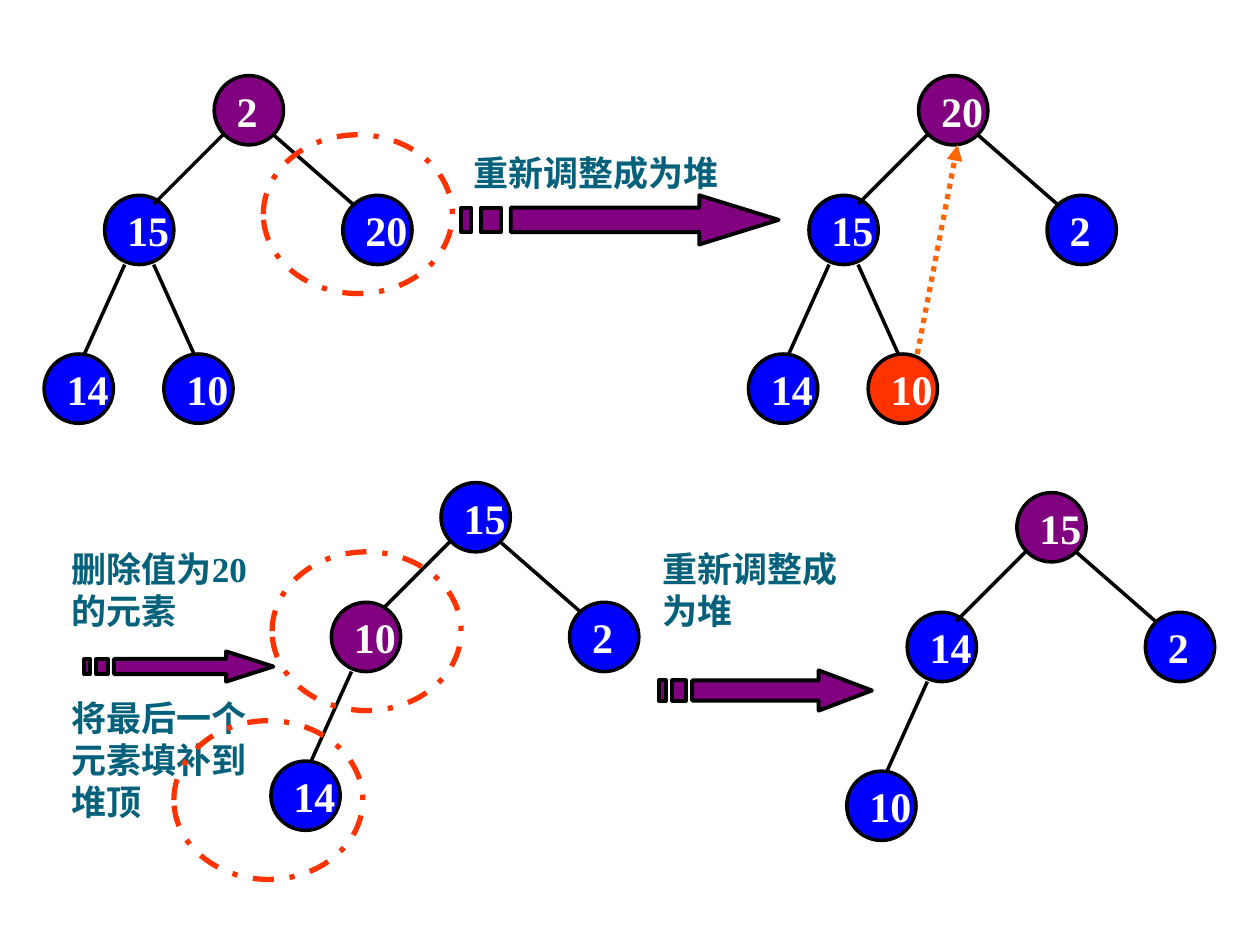
from dataclasses import dataclass

from lxml import etree
from pptx import Presentation, util as u
from pptx.dml.color import RGBColor
from pptx.enum import dml, shapes, text
from pptx.oxml.ns import qn

PX = 9144
NODE = 55


@dataclass(frozen=True)
class Theme:
    """Colours, font and sizes of the slide."""

    ink: str = "000000"
    white: str = "FFFFFF"
    blue: str = "0000FF"
    purple: str = "800080"
    red: str = "FF3300"
    orange: str = "FF6600"
    teal: str = "04617B"
    font: str = "Times New Roman"
    node_size: int = 24
    label_size: int = 20
    outline: float = 2
    arrow_outline: float = 2.25
    accent: float = 3


THEME = Theme()
NODE_SPOTS = {"root": (0, 0), "left": (-87, 95), "left_left": (-135, 221),
              "right": (102, 95), "left_right": (-40, 221)}
EDGES = {"left": (7, 47, -48, 102), "right": (47, 47, 110, 102),
         "left_left": (-71, 150, -103, 221), "left_right": (-48, 150, -16, 221)}


def emu(*lengths):
    """Turn px lengths into EMU."""
    return [length * PX for length in lengths]


def style_line(line, color, width, dash=None):
    """Set the colour, width and dash of a line."""
    line.color.rgb = RGBColor.from_string(color)
    line.width = u.Pt(width)
    if dash:
        line.dash_style = dash


def style_shape(shape, fill, color, width, dash=None):
    """Set fill and outline and remove the shadow."""
    shape.shadow.inherit = False
    if fill:
        shape.fill.solid()
        shape.fill.fore_color.rgb = RGBColor.from_string(fill)
    else:
        shape.fill.background()
    style_line(shape.line, color, width, dash)


def write(frame, wording, *, size, color, wrap=True, before=0,
          anchor=text.MSO_ANCHOR.TOP, fit=text.MSO_AUTO_SIZE.NONE):
    """Write bold left-aligned text into a frame."""
    frame.word_wrap = wrap
    frame.auto_size = fit
    frame.vertical_anchor = anchor
    para = frame.paragraphs[0]
    para.alignment = text.PP_ALIGN.LEFT
    para.space_before = u.Pt(before)
    span = para.add_run()
    span.text = wording
    span.font.name = THEME.font
    span.font.size = u.Pt(size)
    span.font.bold = True
    span.font.color.rgb = RGBColor.from_string(color)


def add_line(parent, ends, color, width, dash=None, arrow=False):
    """Draw a straight line between two points."""
    line = parent.shapes.add_connector(shapes.MSO_CONNECTOR.STRAIGHT, *emu(*ends))
    style_line(line.line, color, width, dash)
    properties = line._element.spPr
    if arrow:
        etree.SubElement(properties.find(qn("a:ln")), qn("a:tailEnd"), type="triangle")
    etree.SubElement(properties, qn("a:effectLst"))


def add_node(parent, left, top, value, fill):
    """Draw one numbered tree node."""
    node = parent.shapes.add_shape(shapes.MSO_SHAPE.OVAL, *emu(left, top, NODE, NODE))
    style_shape(node, fill, THEME.ink, THEME.outline)
    write(node.text_frame, value, size=THEME.node_size, color=THEME.white,
          wrap=False, anchor=text.MSO_ANCHOR.MIDDLE)


def add_tree(page, left, top, values, fills, front=()):
    """Draw a heap from its root corner, with the front nodes over the edges."""
    tree = page.shapes.add_group_shape()

    def place(spots):
        """Draw the nodes at the named spots."""
        for spot in spots:
            x, y = NODE_SPOTS[spot]
            add_node(tree, left + x, top + y, values[spot], fills.get(spot, THEME.blue))

    place(spot for spot in values if spot not in front)
    for spot, (x1, y1, x2, y2) in EDGES.items():
        if spot in values:
            ends = (left + x1, top + y1, left + x2, top + y2)
            add_line(tree, ends, THEME.ink, THEME.outline)
    place(front)


def add_striped_arrow(page, left, top, width, height):
    """Draw a right arrow with two tail stripes, on a grid of 32 by 4."""
    def at(column, row):
        """Return the EMU point of a grid position."""
        return round((left + width * column / 32) * PX), round((top + height * row / 4) * PX)

    head = [(24, 0), (24, 1), (5, 1), (5, 3), (24, 3), (24, 4), (32, 2)]
    stripes = [[(a, 1), (a, 3), (b, 3), (b, 1)] for a, b in ((2, 4), (0, 1))]
    builder = page.shapes.build_freeform(*at(*head[0]))
    builder.add_line_segments([at(*point) for point in head[1:]])
    for stripe in stripes:
        builder.move_to(*at(*stripe[0]))
        builder.add_line_segments([at(*point) for point in stripe[1:]])
    style_shape(builder.convert_to_shape(), THEME.purple, THEME.ink, THEME.arrow_outline)


def add_label(page, box, wording):
    """Write an explanation beside an arrow."""
    label = page.shapes.add_textbox(*emu(*box))
    write(label.text_frame, wording, size=THEME.label_size, color=THEME.teal,
          before=12.5, fit=text.MSO_AUTO_SIZE.SHAPE_TO_FIT_TEXT)


def add_ring(page, left, top):
    """Draw a dashed ring around the nodes in question."""
    ring = page.shapes.add_shape(shapes.MSO_SHAPE.OVAL, *emu(left, top, 150, 126))
    style_shape(ring, None, THEME.red, THEME.accent, dml.MSO_LINE.DASH_DOT)


def main():
    """Build the slide and save it."""
    deck = Presentation()
    deck.slide_width, deck.slide_height = emu(1000, 750)
    page = deck.slides.add_slide(deck.slide_layouts[6])

    purple_root = {"root": THEME.purple}
    add_tree(page, 170, 60, {"root": "2", "left": "15", "left_left": "14",
                             "right": "20", "left_right": "10"}, purple_root)
    add_striped_arrow(page, 366, 155, 252, 39)
    add_tree(page, 729, 60, {"root": "20", "left": "15", "left_left": "14",
                             "right": "2", "left_right": "10"},
             {**purple_root, "left_right": THEME.red})
    add_label(page, (366, 115, 252, 44), "重新调整成为堆")

    add_striped_arrow(page, 67, 517, 150, 24)
    add_label(page, (47, 430, 161, 77), "删除值为20的元素")
    add_tree(page, 350, 383, {"root": "15", "left": "10", "left_left": "14", "right": "2"},
             {"left": THEME.purple}, front=("left", "root"))
    add_striped_arrow(page, 523, 532, 169, 32)
    add_label(page, (516, 430, 173, 77), "重新调整成为堆")
    add_tree(page, 807, 391, {"root": "15", "left": "14", "left_left": "10", "right": "2"},
             purple_root)
    add_label(page, (47, 548, 169, 110), "将最后一个元素填补到堆顶")

    add_line(page, (728, 281, 760, 115), THEME.orange, THEME.accent,
             dash=dml.MSO_LINE.ROUND_DOT, arrow=True)
    for left, top in ((209, 107), (216, 438), (138, 572)):
        add_ring(page, left, top)
    deck.save("out.pptx")


if __name__ == "__main__":
    main()
